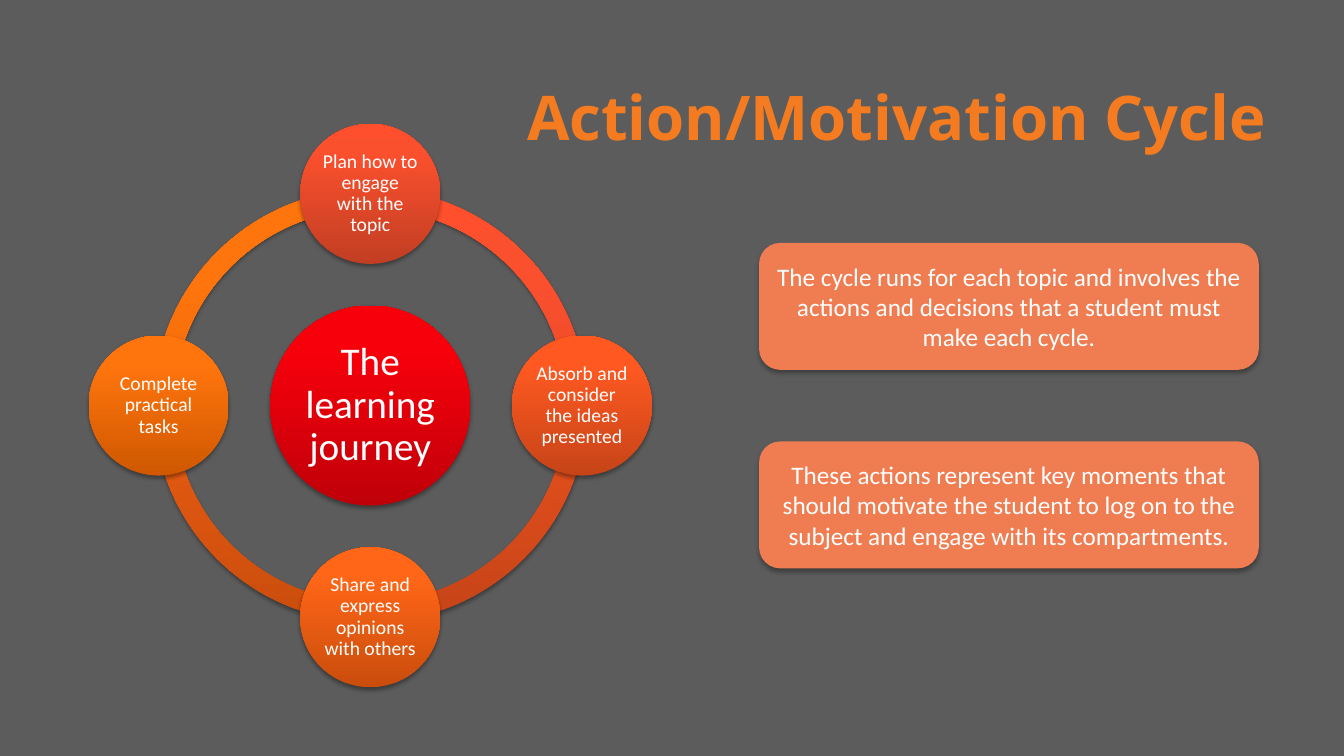
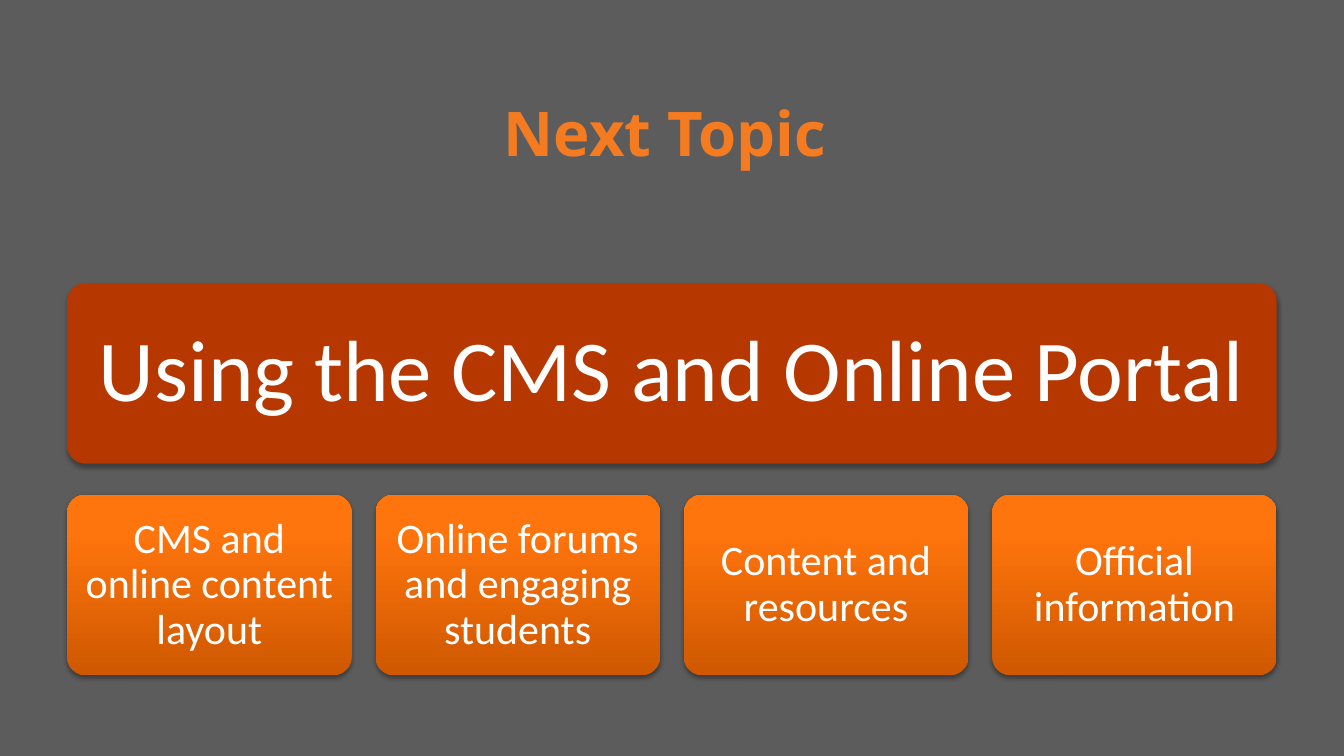
from copy import deepcopy
from dataclasses import dataclass
from math import cos, radians, sin

from lxml import etree
from pptx import Presentation
from pptx.dml.color import RGBColor
from pptx.enum.shapes import MSO_SHAPE
from pptx.enum.text import MSO_ANCHOR, PP_ALIGN
from pptx.oxml.ns import qn
from pptx.util import Pt

ARC, OVAL, ROUNDED = MSO_SHAPE.BLOCK_ARC, MSO_SHAPE.OVAL, MSO_SHAPE.ROUNDED_RECTANGLE
CENTER, RIGHT = PP_ALIGN.CENTER, PP_ALIGN.RIGHT
MIDDLE = MSO_ANCHOR.MIDDLE
STOPS = (0, 0.8, 1)
BLANK_LAYOUT = 6


@dataclass(frozen=True)
class Theme:
    """Colours, fonts and type sizes shared by the slides."""

    background: str = "5C5C5C"
    title: str = "F57B20"
    title_outline: str = "414141"
    text: str = "FFFFFF"
    shadow: str = "000000"
    note: str = "EF7D51"
    banner: str = "B63800"
    hub: tuple = ("BF0009", "F8000B", "F9000B")
    red: tuple = ("C23E23", "FB502E", "FF4F2C")
    coral: tuple = ("C64418", "FF5921", "FF5A22")
    rust: tuple = ("CA4D0C", "FF6617", "FF6718")
    orange: tuple = ("CF5800", "FF750D", "FF750F")
    heading_font: str = "Open Sans"
    body_font: str = "Calibri"
    title_size: int = 44
    banner_size: int = 62
    card_size: int = 30
    hub_size: int = 28
    note_size: int = 18
    node_size: int = 14


THEME = Theme()
CARD_SHADOW = {"alpha": 35, "blur": 3.1, "dist": 1.8}
NOTE_SHADOW = {"alpha": 32, "blur": 3.5, "dist": 2.2}

CYCLE_STEPS = [
    ("Plan how to engage with the topic", THEME.red),
    ("Absorb and consider the ideas presented", THEME.coral),
    ("Share and express opinions with others", THEME.rust),
    ("Complete practical tasks", THEME.orange),
]
CYCLE_NOTES = [
    "The cycle runs for each topic and involves the actions and decisions "
    "that a student must make each cycle.",
    "These actions represent key moments that should motivate the student "
    "to log on to the subject and engage with its compartments.",
]
NEXT_TOPICS = [
    "CMS and online content layout",
    "Online forums and engaging students",
    "Content and resources",
    "Official information",
]


def apply(target, values):
    """Set each named attribute of the target."""
    for name, value in values.items():
        setattr(target, name, value)


def write(frame, text, size, color=THEME.text, font=THEME.body_font,
          bold=False, align=CENTER, spacing=1.0, inset=None):
    """Fill a text frame with one formatted paragraph and return its run."""
    apply(frame, {"word_wrap": True, "vertical_anchor": MIDDLE})
    if inset is not None:
        sides = ("left", "right", "top", "bottom")
        apply(frame, {f"margin_{side}": Pt(inset) for side in sides})
    paragraph = frame.paragraphs[0]
    apply(paragraph, {"alignment": align, "line_spacing": spacing})
    run = paragraph.add_run()
    run.text = text
    apply(run.font, {"name": font, "size": Pt(size), "bold": bold})
    run.font.color.rgb = RGBColor.from_string(color)
    return run


def paint(shape, fill):
    """Fill a shape with one colour or with a vertical three-stop gradient."""
    if isinstance(fill, str):
        shape.fill.solid()
        shape.fill.fore_color.rgb = RGBColor.from_string(fill)
        return
    shape.fill.gradient()
    shape.fill.gradient_angle = 90
    stop_list = shape.element.spPr.find(".//" + qn("a:gsLst"))
    stop_list.append(deepcopy(stop_list[-1]))
    for stop, position, color in zip(shape.fill.gradient_stops, STOPS, fill):
        stop.position = position
        stop.color.rgb = RGBColor.from_string(color)


def add_color(parent, color):
    """Append an RGB colour element and return it."""
    return etree.SubElement(parent, qn("a:srgbClr"), val=color)


def cast_shadow(shape, alpha, blur, dist):
    """Give a shape a soft shadow that falls straight down."""
    shape.shadow.inherit = False
    effects = shape.element.spPr.find(qn("a:effectLst"))
    shadow = etree.SubElement(
        effects, qn("a:outerShdw"), blurRad=str(Pt(blur)), dist=str(Pt(dist)),
        dir="5400000", rotWithShape="0")
    color = add_color(shadow, THEME.shadow)
    etree.SubElement(color, qn("a:alpha"), val=str(alpha * 1000))


def add_block(slide, kind, box, fill, adjustments=(), shadow=CARD_SHADOW):
    """Add a borderless filled shape with a shadow."""
    block = slide.shapes.add_shape(kind, *map(Pt, box))
    for index, value in enumerate(adjustments):
        block.adjustments[index] = value
    paint(block, fill)
    block.line.fill.background()
    cast_shadow(block, **shadow)
    return block


def add_title(slide, text, left, top, align):
    """Add the outlined slide title."""
    title = slide.shapes.add_textbox(*map(Pt, (left, top, 864, 90)))
    run = write(title.text_frame, text, THEME.title_size, THEME.title,
                THEME.heading_font, bold=True, align=align)
    outline = etree.Element(qn("a:ln"), w=str(Pt(0.75)))
    add_color(etree.SubElement(outline, qn("a:solidFill")), THEME.title_outline)
    run.font._element.insert(0, outline)


def centered(x, y, size):
    """Return the square box of a given size around a point."""
    return x - size / 2, y - size / 2, size, size


def add_disc(slide, x, y, diameter, fill, text, size, inset):
    """Add a labelled circle around a point."""
    disc = add_block(slide, OVAL, centered(x, y, diameter), fill)
    write(disc.text_frame, text, size, spacing=0.9, inset=inset)


def add_cycle(slide, x, y, hub_text, steps):
    """Add a ring of arcs with a hub and one disc for each step."""
    turn = 360 / len(steps)
    angles = [index * turn - 90 for index in range(len(steps))]
    for angle, (_, fill) in zip(angles, steps):
        ends = [bearing % 360 * 0.6 for bearing in (angle, angle + turn)]
        add_block(slide, ARC, centered(x, y, 309.6), fill, (*ends, 0.046))
    add_disc(slide, x, y, 142.8, THEME.hub, hub_text, THEME.hub_size, 2.8)
    for angle, (text, fill) in zip(angles, steps):
        step_x = x + 151.2 * cos(radians(angle))
        step_y = y + 151.2 * sin(radians(angle))
        add_disc(slide, step_x, step_y, 100, fill, text, THEME.node_size, 1.4)


def add_card(slide, box, fill, text, size, inset):
    """Add a labelled card with slightly rounded corners."""
    card = add_block(slide, ROUNDED, box, fill, (0.1,))
    write(card.text_frame, text, size, spacing=0.9, inset=inset)


def add_notes(slide, notes):
    """Stack the rounded explanation boxes."""
    for index, text in enumerate(notes):
        box = (542.2, 173.5 + index * 141.8, 357, 90.7)
        note = add_block(slide, ROUNDED, box, THEME.note, shadow=NOTE_SHADOW)
        write(note.text_frame, text, THEME.note_size)


def add_topics(slide, heading, topics):
    """Add a wide banner above an evenly spaced row of cards."""
    left, width, height, card_width = 48, 864, 129, 203.2
    add_card(slide, (left, 202.2, width, height), THEME.banner, heading,
             THEME.banner_size, 18)
    pitch = (width - card_width) / (len(topics) - 1)
    for index, topic in enumerate(topics):
        box = (left + index * pitch, 353.4, card_width, height)
        add_card(slide, box, THEME.orange, topic, THEME.card_size, 8.5)


def main():
    """Build and save the presentation."""
    deck = Presentation()
    apply(deck, {"slide_width": Pt(960), "slide_height": Pt(540)})
    backdrop = deck.slide_master.background.fill
    backdrop.solid()
    backdrop.fore_color.rgb = RGBColor.from_string(THEME.background)
    layout = deck.slide_layouts[BLANK_LAYOUT]

    cycle = deck.slides.add_slide(layout)
    add_title(cycle, "Action/Motivation Cycle", 48, 37.5, RIGHT)
    add_cycle(cycle, 264.5, 289.7, "The learning journey", CYCLE_STEPS)
    add_notes(cycle, CYCLE_NOTES)

    upcoming = deck.slides.add_slide(layout)
    add_title(upcoming, "Next Topic", 43.2, 49, CENTER)
    add_topics(upcoming, "Using the CMS and Online Portal", NEXT_TOPICS)

    deck.save("out.pptx")


if __name__ == "__main__":
    main()
